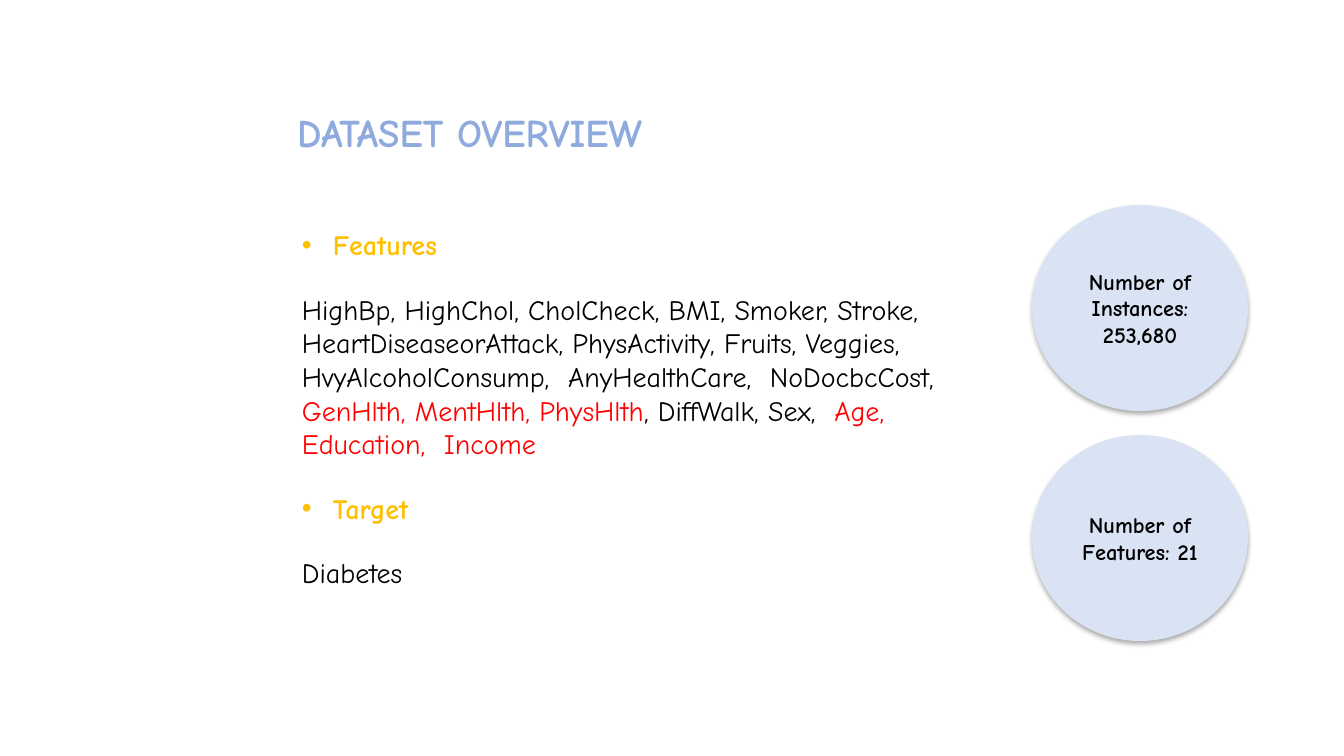
from lxml import etree
from pptx import Presentation
from pptx.dml.color import RGBColor
from pptx.enum.shapes import MSO_SHAPE
from pptx.enum.text import MSO_ANCHOR, MSO_AUTO_SIZE, PP_ALIGN
from pptx.oxml import parse_xml
from pptx.oxml.ns import nsdecls, qn
from pptx.util import Emu, Pt

ELLIPSE = MSO_SHAPE.OVAL
TOP, MIDDLE = MSO_ANCHOR.TOP, MSO_ANCHOR.MIDDLE
LEFT, CENTER = PP_ALIGN.LEFT, PP_ALIGN.CENTER
NO_AUTOFIT = MSO_AUTO_SIZE.NONE

EMU_PER_PX = 914400 / 100.8
FONT = "Comic Neue"
TITLE_ONLY = 5
COLORS = {
    "background": "FFFFFF",
    "title": "8FAADC",
    "heading": "FFC000",
    "text": "000000",
    "highlight": "FF0000",
    "circle": "DAE3F3",
}

FEATURES = [
    ("HighBp, HighChol, CholCheck, BMI, Smoker, Stroke, HeartDiseaseorAttack, "
     "PhysActivity, Fruits, Veggies, HvyAlcoholConsump,  AnyHealthCare,  "
     "NoDocbcCost, ", "text"),
    ("GenHlth, MentHlth, PhysHlth", "highlight"),
    (", DiffWalk, Sex,  ", "text"),
    ("Age, Education,  Income", "highlight"),
]
SECTIONS = [("Features", FEATURES), ("Target", [("Diabetes", "text")])]
FACTS = ["Number of Instances: 253,680", "Number of Features: 21"]


def px(length):
    return Emu(round(length * EMU_PER_PX))


def rgb(name):
    return RGBColor.from_string(COLORS[name])


def add_run(paragraph, text, size, color, bold=False):
    run = paragraph.add_run()
    run.text = text
    run.font.name = FONT
    run.font.size = Pt(size)
    run.font.bold = bold
    run.font.color.rgb = rgb(color)


def add_bullet(paragraph, indent):
    properties = paragraph._p.get_or_add_pPr()
    properties.set("marL", str(px(indent)))
    properties.set("indent", str(-px(indent)))
    font = etree.SubElement(properties, qn("a:buFont"))
    font.set("typeface", "Arial")
    etree.SubElement(properties, qn("a:buChar")).set("char", "•")


def add_soft_shadow(shape):
    shape.shadow.inherit = False
    effects = shape._element.spPr.find(qn("a:effectLst"))
    effects.append(parse_xml(
        f'<a:outerShdw {nsdecls("a")} blurRad="{Pt(3.5)}" dist="{Pt(2.2)}" '
        'dir="5400000" algn="t" rotWithShape="0"><a:srgbClr val="000000">'
        '<a:alpha val="32000"/></a:srgbClr></a:outerShdw>'))


def place_title(slide, left, top, width, height):
    title = slide.shapes.title
    title.left, title.top = px(left), px(top)
    title.width, title.height = px(width), px(height)
    frame = title.text_frame
    frame.auto_size = NO_AUTOFIT
    frame.vertical_anchor = TOP
    heading = frame.paragraphs[0]
    heading.alignment = LEFT
    heading.line_spacing = 1.07
    add_run(heading, "DATASET OVERVIEW", 28, "title", bold=True)


def add_sections(slide, left, top, width, height):
    """Bulleted headings, each followed by its list of variables."""
    frame = slide.shapes.add_textbox(
        px(left), px(top), px(width), px(height)).text_frame
    frame.word_wrap = True
    for index, (name, variables) in enumerate(SECTIONS):
        heading = frame.add_paragraph() if index else frame.paragraphs[0]
        if index:
            heading.space_before = Pt(22)
        add_bullet(heading, 31)
        add_run(heading, name, 20, "heading", bold=True)
        body = frame.add_paragraph()
        body.space_before = Pt(22)
        for text, color in variables:
            add_run(body, text, 20, color)


def add_fact_circles(slide, left, top, width, height, gap):
    """A column of circles; height is that of one circle."""
    for index, fact in enumerate(FACTS):
        circle = slide.shapes.add_shape(
            ELLIPSE, px(left), px(top + index * (height + gap)),
            px(width), px(height))
        circle.fill.solid()
        circle.fill.fore_color.rgb = rgb("circle")
        circle.line.fill.background()
        add_soft_shadow(circle)
        frame = circle.text_frame
        frame.word_wrap = True
        frame.vertical_anchor = MIDDLE
        label = frame.paragraphs[0]
        label.alignment = CENTER
        add_run(label, fact, 16, "text", bold=True)


def build_overview(presentation):
    slide = presentation.slides.add_slide(
        presentation.slide_layouts[TITLE_ONLY])
    slide.background.fill.solid()
    slide.background.fill.fore_color.rgb = rgb("background")
    place_title(slide, 287, 100, 745, 147)
    add_sections(slide, 292, 223, 664, 434)
    add_fact_circles(slide, 1032, 205, 216, 206, gap=24)


def main():
    presentation = Presentation()
    presentation.slide_width, presentation.slide_height = px(1344), px(756)
    build_overview(presentation)
    presentation.save("out.pptx")


if __name__ == "__main__":
    main()
